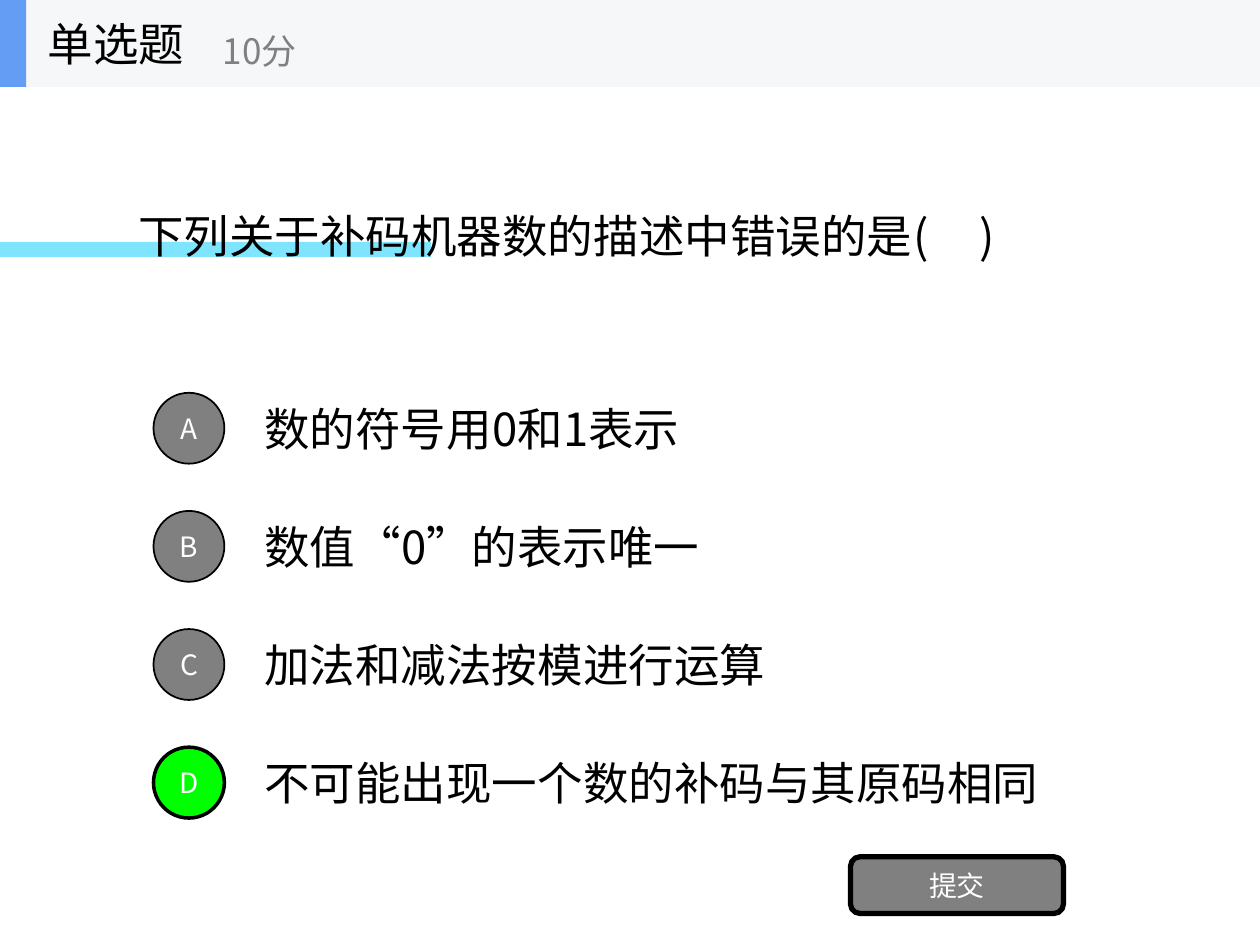
from dataclasses import dataclass

from lxml import etree
from pptx import Presentation
from pptx.dml import color
from pptx.enum import shapes, text
from pptx.oxml import ns
from pptx.util import Pt


@dataclass(frozen=True)
class Theme:
    font: str = "Noto Sans CJK SC"
    black: str = "000000"
    white: str = "FFFFFF"
    grey: str = "808080"
    correct: str = "00FF00"
    header: str = "F6F7F8"
    accent: str = "639EF4"
    stripe: str = "00CCFF"
    body: int = 26
    score: int = 20
    label: int = 16


theme = Theme()
rgb = color.RGBColor.from_string
deck = Presentation()
deck.slide_width, deck.slide_height = Pt(720), Pt(540)
page = deck.slides.add_slide(deck.slide_layouts[5])


def add_block(kind, left, top, width, height, fill, line_width=0):
    block = page.shapes.add_shape(kind, Pt(left), Pt(top), Pt(width), Pt(height))
    block.shadow.inherit = False
    block.fill.solid()
    block.fill.fore_color.rgb = rgb(fill)
    if line_width:
        block.line.color.rgb = rgb(theme.black)
        block.line.width = Pt(line_width)
    else:
        block.line.fill.background()
    return block


def write(box, words, size, ink, align=text.PP_ALIGN.LEFT, wrap=True):
    frame = box.text_frame
    frame.text = words
    frame.word_wrap = wrap
    frame.auto_size = text.MSO_AUTO_SIZE.NONE
    frame.vertical_anchor = text.MSO_ANCHOR.MIDDLE
    para = frame.paragraphs[0]
    para.alignment = align
    para.font.name = theme.font
    para.font.size = Pt(size)
    para.font.color.rgb = rgb(ink)
    for latin in list(box.element.iter(ns.qn("a:latin"))):
        latin.addnext(etree.Element(ns.qn("a:ea"), typeface=theme.font))


rect = shapes.MSO_SHAPE.RECTANGLE
center = text.PP_ALIGN.CENTER

stripe = add_block(rect, 0, 138.2, 246.2, 8.6, theme.stripe)
for tint in stripe.element.spPr.iter(ns.qn("a:srgbClr")):
    etree.SubElement(tint, ns.qn("a:alpha"), val="50000")

question = page.shapes.add_textbox(Pt(72), Pt(115.2), Pt(520), Pt(38.9))
write(question, "下列关于补码机器数的描述中错误的是(     )", theme.body, theme.black)

options = [
    ("A", "数的符号用0和1表示", 260.6, 69.8, theme.grey, 1),
    ("B", "数值“0”的表示唯一", 271.4, 38.9, theme.grey, 1),
    ("C", "加法和减法按模进行运算", 308.2, 38.9, theme.grey, 1),
    ("D", "不可能出现一个数的补码与其原码相同", 464.4, 38.9, theme.correct, 2),
]
first_middle, pitch, diameter = 244.7, 67.5, 40.5
for index, (letter, words, width, height, fill, line_width) in enumerate(options):
    middle = first_middle + index * pitch
    answer = page.shapes.add_textbox(Pt(144), Pt(middle - height / 2), Pt(width), Pt(height))
    write(answer, words, theme.body, theme.black)
    circle = add_block(shapes.MSO_SHAPE.OVAL, 87.7, middle - diameter / 2,
                       diameter, diameter, fill, line_width)
    write(circle, letter, theme.label, theme.white, center, False)

submit = add_block(shapes.MSO_SHAPE.ROUNDED_RECTANGLE, 486, 489.6, 121.7, 32.4, theme.grey, 3)
write(submit, "提交", theme.label, theme.white, center, False)

add_block(rect, 0, 0, 720, 49.7, theme.header)
accent = add_block(rect, 0, 0, 15, 49.7, theme.accent)

title = page.shapes.title
title.left, title.top, title.width, title.height = Pt(20.2), Pt(0), Pt(149.8), Pt(49.7)
write(title, "单选题", theme.body, theme.black)
accent.element.addnext(title.element)

score = page.shapes.add_textbox(Pt(120.2), Pt(8.6), Pt(180), Pt(40.3))
write(score, "10分", theme.score, theme.grey)

deck.save("out.pptx")
